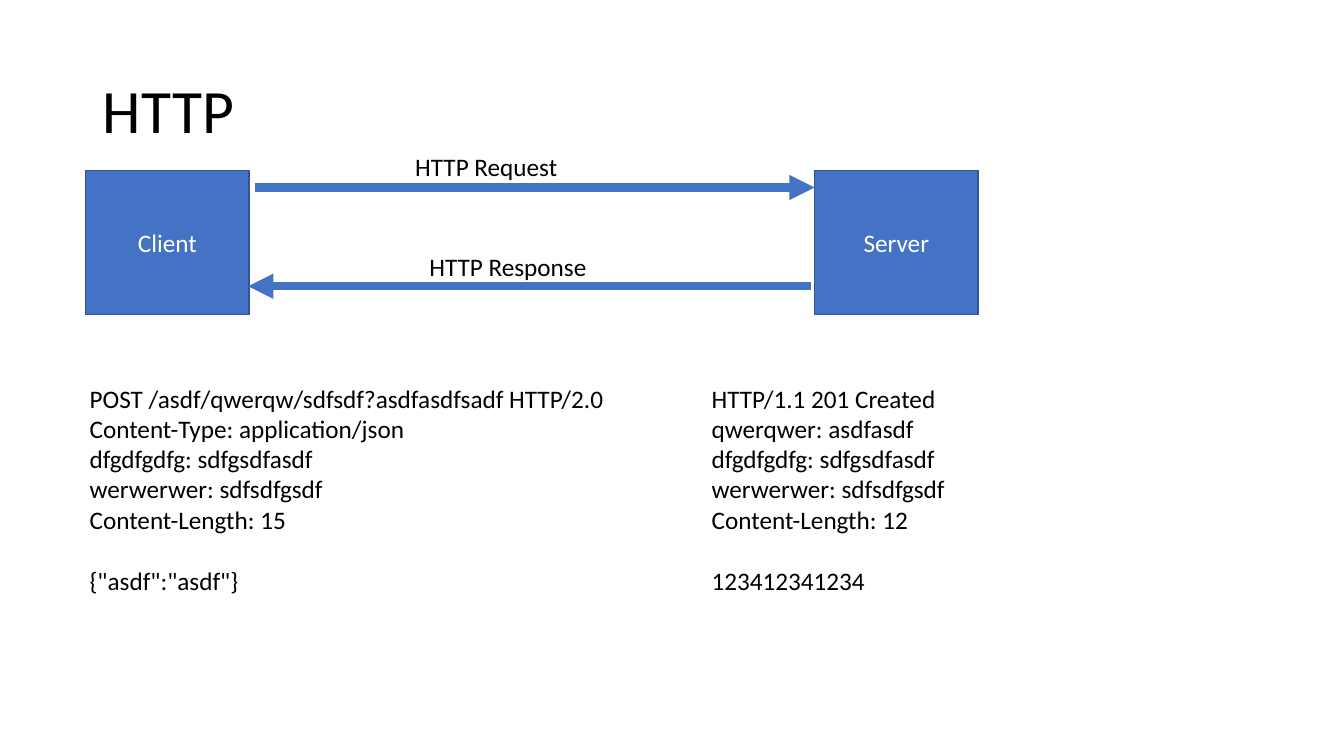
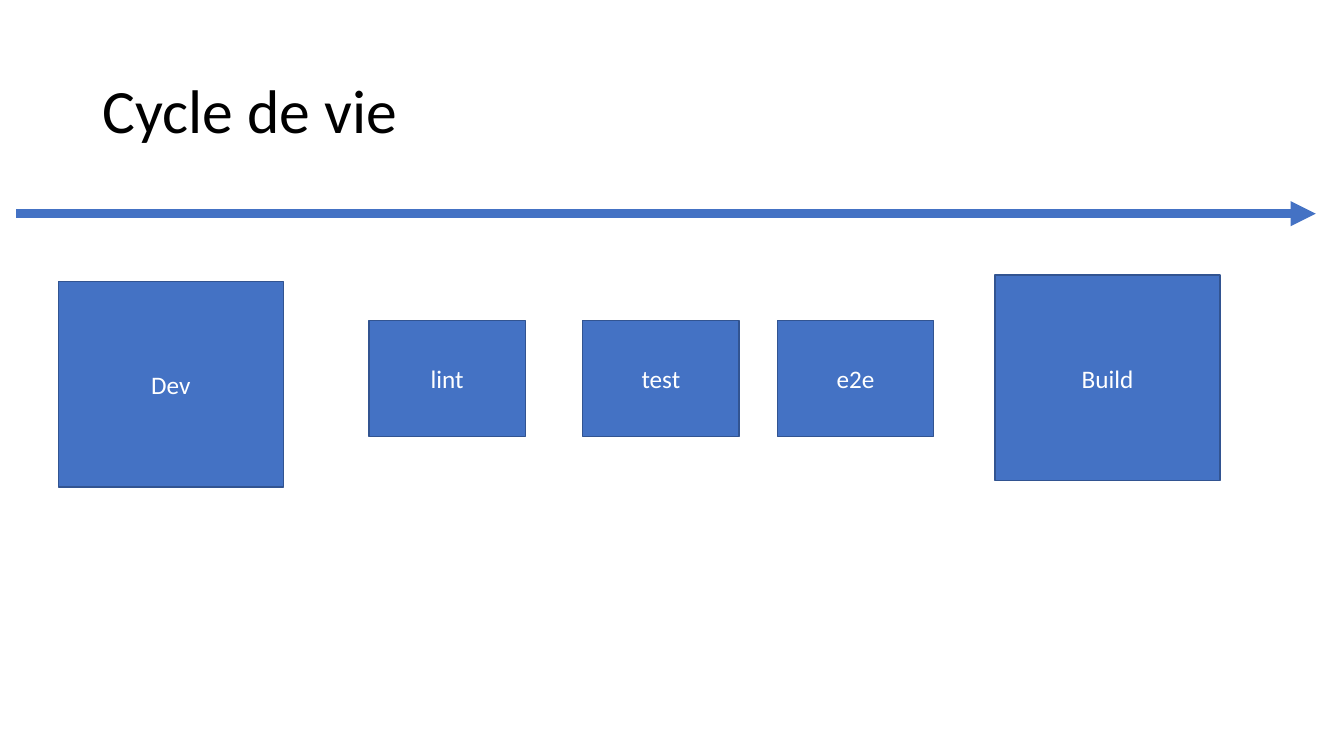
import pptx
import pptx.dml.color
import pptx.enum.shapes
import pptx.enum.text
import pptx.oxml
import pptx.oxml.ns
import pptx.util
from pptx.util import Inches, Pt

BLACK = pptx.dml.color.RGBColor(0x00, 0x00, 0x00)
WHITE = pptx.dml.color.RGBColor(0xFF, 0xFF, 0xFF)
BLUE = pptx.dml.color.RGBColor(0x44, 0x72, 0xC4)
DARK_BLUE = pptx.dml.color.RGBColor(0x32, 0x54, 0x91)

ALIGN = pptx.enum.text.PP_ALIGN
ANCHOR = pptx.enum.text.MSO_ANCHOR
AUTO_SIZE = pptx.enum.text.MSO_AUTO_SIZE


class Deck:
    """Holds the shared style and the slide being built."""

    font_name = "Calibri"
    title_size = Pt(44)
    text_size = Pt(18)
    line_height = Pt(22)
    title_only_layout = 5

    def __init__(self):
        self.presentation = pptx.Presentation()
        self.presentation.slide_width = Inches(13.33)
        self.presentation.slide_height = Inches(7.5)
        self.slide = None

    def style(self, paragraph, size, color, alignment=ALIGN.LEFT):
        paragraph.alignment = alignment
        paragraph.font.name = self.font_name
        paragraph.font.size = size
        paragraph.font.color.rgb = color

    def add_slide(self, title):
        layout = self.presentation.slide_layouts[self.title_only_layout]
        self.slide = self.presentation.slides.add_slide(layout)
        shape = self.slide.shapes.title
        shape.left, shape.top = Inches(0.92), Inches(0.4)
        shape.width, shape.height = Inches(11.5), Inches(1.45)
        frame = shape.text_frame
        frame.text = title
        frame.auto_size = AUTO_SIZE.NONE
        frame.vertical_anchor = ANCHOR.MIDDLE
        paragraph = frame.paragraphs[0]
        self.style(paragraph, self.title_size, BLACK)
        paragraph.line_spacing = 0.9

    def add_box(self, label, left, top, width, height):
        shape = self.slide.shapes.add_shape(
            pptx.enum.shapes.MSO_SHAPE.RECTANGLE,
            Inches(left), Inches(top), Inches(width), Inches(height))
        shape.shadow.inherit = False
        shape.fill.solid()
        shape.fill.fore_color.rgb = BLUE
        shape.line.color.rgb = DARK_BLUE
        shape.line.width = Pt(1)
        frame = shape.text_frame
        frame.text = label
        frame.vertical_anchor = ANCHOR.MIDDLE
        self.style(frame.paragraphs[0], self.text_size, WHITE, ALIGN.CENTER)

    def add_arrow(self, start, end, y):
        connector = self.slide.shapes.add_connector(
            pptx.enum.shapes.MSO_CONNECTOR.STRAIGHT,
            Inches(start), Inches(y), Inches(end), Inches(y))
        connector.line.color.rgb = BLUE
        connector.line.width = Pt(6)
        # Arrowhead, and an empty effect list against the theme shadow
        line = connector.line._get_or_add_ln()
        head = pptx.oxml.parse_xml(
            f'<a:tailEnd {pptx.oxml.ns.nsdecls("a")} type="triangle"/>')
        line.append(head)
        effects = pptx.oxml.parse_xml(
            f'<a:effectLst {pptx.oxml.ns.nsdecls("a")}/>')
        line.addnext(effects)

    def add_text(self, lines, left, top, width, height):
        shape = self.slide.shapes.add_textbox(
            Inches(left), Inches(top), Inches(width), Inches(height))
        frame = shape.text_frame
        frame.text = "\n".join(lines)
        frame.word_wrap = False
        frame.auto_size = AUTO_SIZE.SHAPE_TO_FIT_TEXT
        for paragraph in frame.paragraphs:
            self.style(paragraph, self.text_size, BLACK)
        return frame

    def add_message(self, headers, body, left, width):
        frame = self.add_text([*headers, body], left, 3.75, width, 2.22)
        # One line of space separates the headers from the body
        frame.paragraphs[-1].space_before = self.line_height


deck = Deck()

# Slide 1: request and response between client and server
deck.add_slide("HTTP")
for name, left in (("Client", 0.85), ("Server", 8.08)):
    deck.add_box(name, left, 1.69, 1.62, 1.43)

deck.add_arrow(2.53, 8.08, 1.86)
deck.add_text(["HTTP Request"], 4.02, 1.45, 1.63, 0.4)
deck.add_arrow(8.04, 2.46, 2.84)
deck.add_text(["HTTP Response"], 4.16, 2.44, 1.78, 0.4)

shared_headers = ["dfgdfgdfg: sdfgsdfasdf", "werwerwer: sdfsdfgsdf"]
deck.add_message(
    ["POST /asdf/qwerqw/sdfsdf?asdfasdfsadf HTTP/2.0",
     "Content-Type: application/json", *shared_headers, "Content-Length: 15"],
    '{"asdf":"asdf"}', 0.79, 5.35)
deck.add_message(
    ["HTTP/1.1 201 Created",
     "qwerqwer: asdfasdf", *shared_headers, "Content-Length: 12"],
    "123412341234", 6.96, 2.54)

# Slide 2: life cycle, with checks between development and build
deck.add_slide("Cycle de vie")
stage_size = (2.23, 2.04)
check_size = (1.55, 1.15)
deck.add_box("Dev", 0.58, 2.79, *stage_size)
for name, left in (("lint", 3.66), ("test", 5.78), ("e2e", 7.71)):
    deck.add_box(name, left, 3.18, *check_size)
deck.add_box("Build", 9.87, 2.73, *stage_size)
deck.add_arrow(0.16, 13.05, 2.12)

deck.presentation.save("out.pptx")
